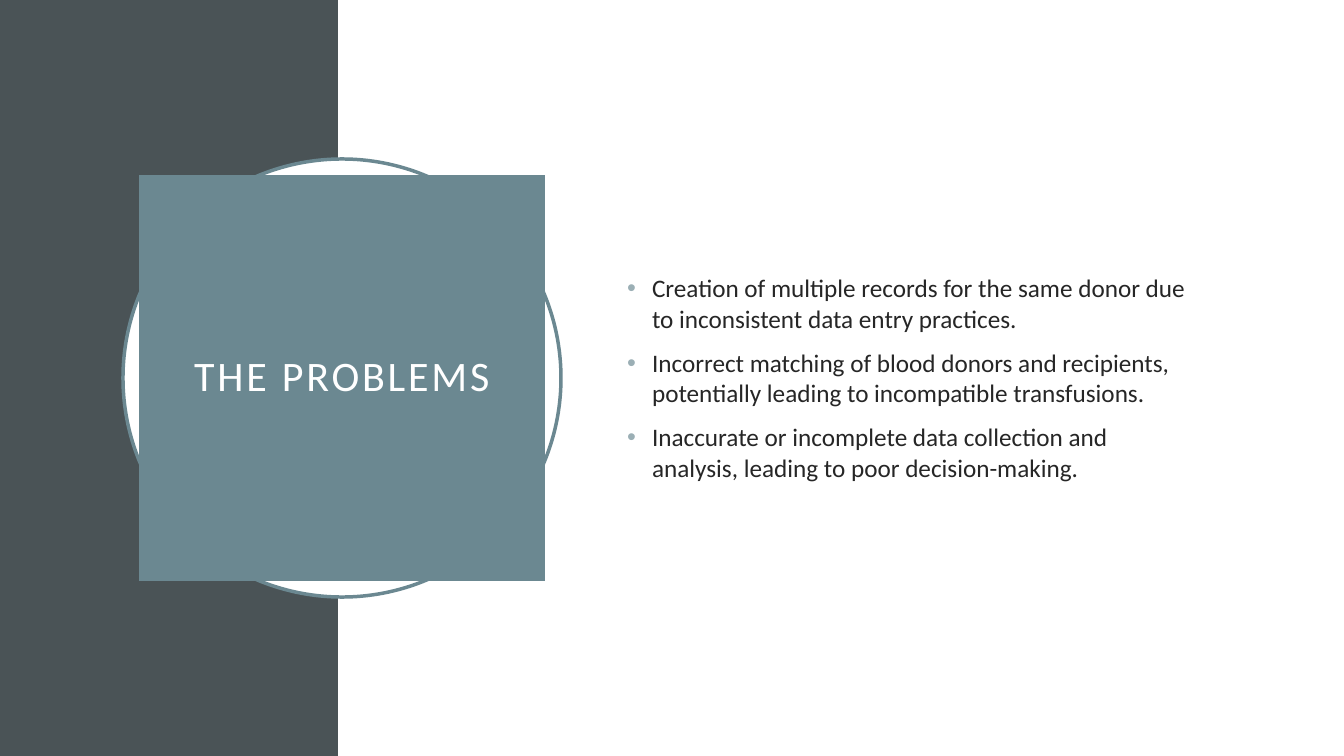
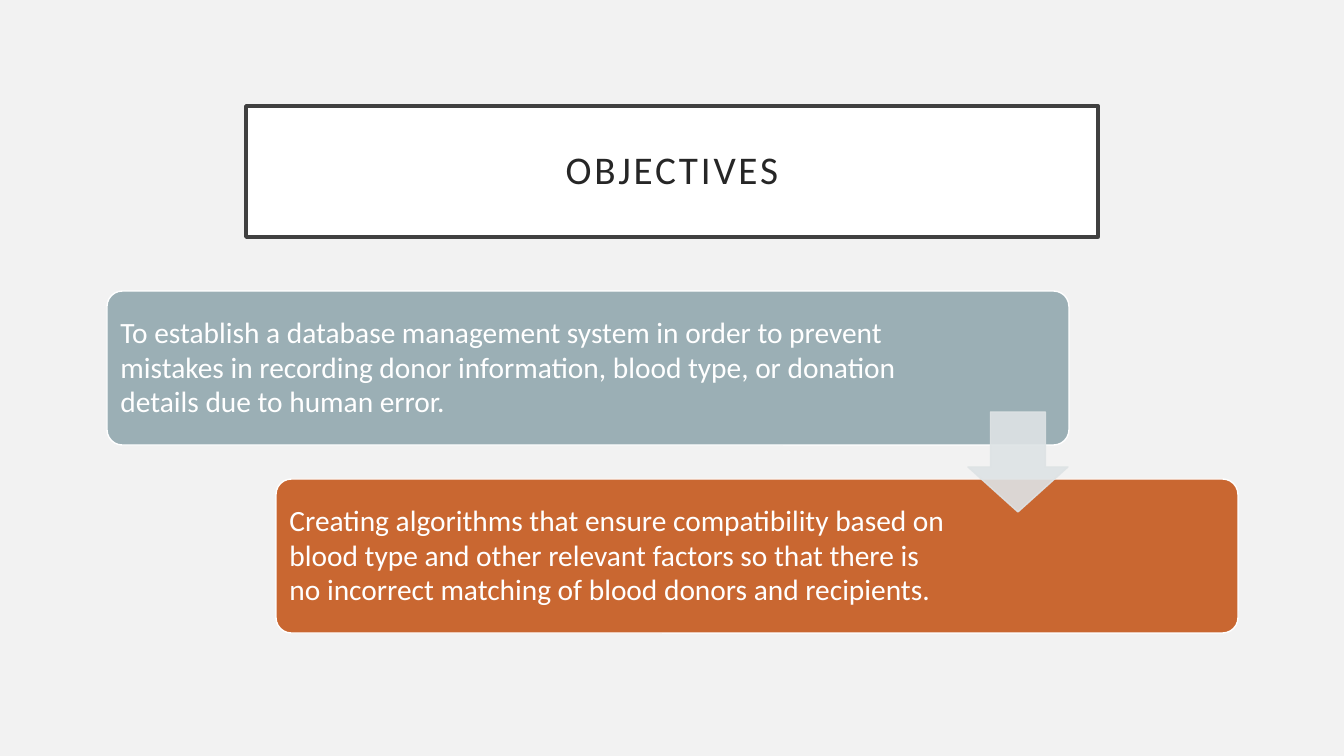
from lxml import etree
from pptx import Presentation
from pptx.dml.color import RGBColor
from pptx.enum.shapes import MSO_SHAPE
from pptx.enum.text import MSO_ANCHOR, MSO_AUTO_SIZE, PP_ALIGN
from pptx.oxml.ns import qn
from pptx.util import Pt

RECTANGLE, OVAL = MSO_SHAPE.RECTANGLE, MSO_SHAPE.OVAL
ROUNDED, DOWN_ARROW = MSO_SHAPE.ROUNDED_RECTANGLE, MSO_SHAPE.DOWN_ARROW
MIDDLE, LEFT, CENTER = MSO_ANCHOR.MIDDLE, PP_ALIGN.LEFT, PP_ALIGN.CENTER
NO_FIT = MSO_AUTO_SIZE.NONE

EMU_PER_INCH, PX_PER_INCH = 914400, 100.8
FONT = "Calibri"
WHITE, PALE, INK, FRAME = "FFFFFF", "F2F2F2", "262626", "404040"
SLATE, TEAL, MIST = "4A5356", "6B8891", "9BAFB5"
ORANGE, ARROW = "C96731", "DEE3E5"


def px(length):
    return round(length * EMU_PER_INCH / PX_PER_INCH)


def style(shape, box, fill=None, line=None, line_width=1, margin=None,
          size=None, color=INK, align=LEFT, line_spacing=1.0):
    """Place a shape and set its fill, outline and text format."""
    shape.left, shape.top, shape.width, shape.height = map(px, box)
    if fill:
        shape.fill.solid()
        shape.fill.fore_color.rgb = RGBColor.from_string(fill)
    if line:
        shape.line.color.rgb = RGBColor.from_string(line)
        shape.line.width = Pt(line_width)
    else:
        shape.line.fill.background()
    if not shape.is_placeholder:
        shape.shadow.inherit = False
    if size:
        frame = shape.text_frame
        frame.word_wrap, frame.auto_size = True, NO_FIT
        frame.vertical_anchor = MIDDLE
        if margin:
            (frame.margin_left, frame.margin_top,
             frame.margin_right, frame.margin_bottom) = map(px, margin)
        for paragraph in frame.paragraphs:
            paragraph.alignment = align
            paragraph.line_spacing = line_spacing
            paragraph.font.name, paragraph.font.size = FONT, Pt(size)
            paragraph.font.color.rgb = RGBColor.from_string(color)


presentation = Presentation()
presentation.slide_width, presentation.slide_height = px(1344), px(756)

# Slides with their titles: layout, background, box, fill, line, size, colour
title_rows = [
    ("THE PROBLEMS", 1, WHITE, (139, 175, 406, 406), TEAL, None, 30, WHITE),
    ("OBJECTIVES", 5, PALE, (246, 106, 852, 131), WHITE, FRAME, 28, INK),
]
slides = []
for text, layout, background, box, fill, line, size, color in title_rows:
    slide = presentation.slides.add_slide(presentation.slide_layouts[layout])
    slide.background.fill.solid()
    slide.background.fill.fore_color.rgb = RGBColor.from_string(background)
    title = slide.shapes.title
    title.text_frame.text = text
    style(title, box, fill, line, 2.5, (20, 20, 20, 20), size, color, CENTER, 0.9)
    title.text_frame.paragraphs[0].runs[0].font._element.set("spc", "200")
    slides.append(slide)
problems, objectives = slides

# Problems: side band and ring, with the title in front
band = problems.shapes.add_shape(RECTANGLE, 0, 0, 0, 0)
style(band, (0, 0, 338, 756), SLATE)
ring = problems.shapes.add_shape(OVAL, 0, 0, 0, 0)
style(ring, (123, 159, 438, 438), WHITE, TEAL, 2.5)
problems.shapes._spTree.append(problems.shapes.title._element)

# Problems: bulleted list
body = problems.placeholders[1]
body.text_frame.text = "\n".join([
    "Creation of multiple records for the same donor due to inconsistent data entry practices.",
    "Incorrect matching of blood donors and recipients, potentially leading to incompatible transfusions.",
    "Inaccurate or incomplete data collection and analysis, leading to poor decision-making.",
])
style(body, (617, 154, 587, 447), size=18)
for paragraph in body.text_frame.paragraphs:
    paragraph.space_before = Pt(10)
    properties = paragraph._p.get_or_add_pPr()
    properties.set("marL", str(px(25)))
    properties.set("indent", str(px(-25)))
    bullet_color = etree.SubElement(properties, qn("a:buClr"))
    etree.SubElement(bullet_color, qn("a:srgbClr"), val=MIST)
    etree.SubElement(properties, qn("a:buChar"), char="•")

# Objectives: two staggered steps
steps = [
    ("To establish a database management system in order to prevent mistakes in recording "
     "donor information, blood type, or donation details due to human error.", MIST, 161),
    ("Creating algorithms that ensure compatibility based on blood type and other relevant "
     "factors so that there is no incorrect matching of blood donors and recipients.", ORANGE, 280),
]
for index, (text, fill, right_margin) in enumerate(steps):
    step = objectives.shapes.add_shape(ROUNDED, 0, 0, 0, 0)
    step.adjustments[0] = 0.1
    step.text_frame.text = text
    style(step, (107 + 169 * index, 291 + 188 * index, 962, 154), fill, WHITE, 1,
          (9, 9, right_margin, 9), 21, WHITE, line_spacing=0.98)

# Objectives: translucent arrow between the steps
arrow = objectives.shapes.add_shape(DOWN_ARROW, 0, 0, 0, 0)
arrow.adjustments[0], arrow.adjustments[1] = 0.55, 0.45
style(arrow, (968, 412, 100, 100), ARROW, ARROW)
for color in arrow._element.spPr.iter(qn("a:srgbClr")):
    etree.SubElement(color, qn("a:alpha"), val="90000")

presentation.save("out.pptx")
